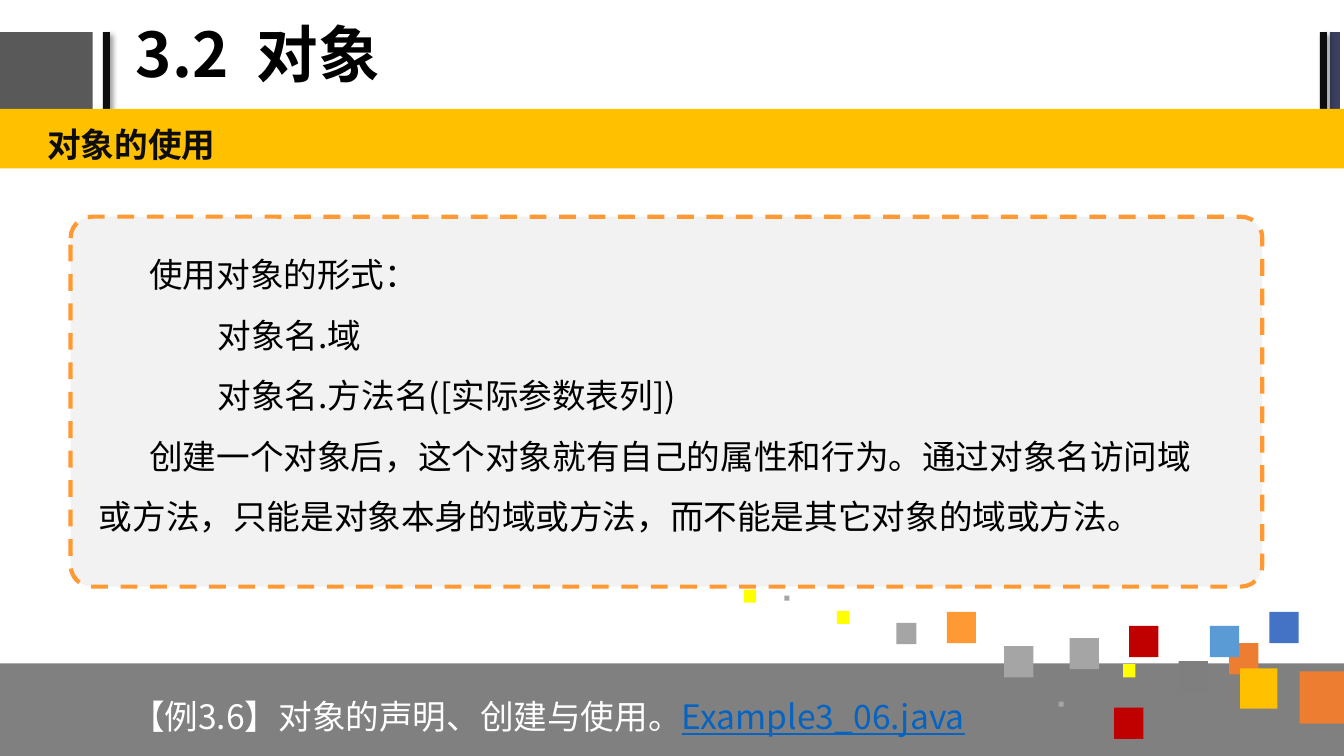
from dataclasses import dataclass
from itertools import chain
from math import cos, pi, sin

from lxml.etree import SubElement
from pptx import Presentation
from pptx.dml.color import RGBColor
from pptx.enum.dml import MSO_LINE
from pptx.enum.shapes import MSO_SHAPE
from pptx.enum.text import MSO_ANCHOR
from pptx.oxml.ns import qn
from pptx.util import Inches, Pt


@dataclass(frozen=True)
class Theme:
    font: str = "Noto Sans CJK SC"
    title: int = 44
    body: int = 24
    black: str = "000000"
    ink: str = "0D0D0D"
    white: str = "FFFFFF"
    slate: str = "595959"
    navy: str = "3B3F60"
    grey: str = "808080"
    mid: str = "7F7F7F"
    silver: str = "A5A5A5"
    panel: str = "F2F2F2"
    amber: str = "FFC000"
    orange: str = "FF9933"
    rust: str = "ED7D31"
    red: str = "C00000"
    sky: str = "5B9BD5"
    blue: str = "4472C4"
    link: str = "0563C1"
    yellow: str = "FFFF00"


T = Theme()
COLS, ROWS = 13.33, 7.5
HEADER_ROW, HEADER_H = 0.32, 0.76
BAND_ROW, BAND_H = 1.08, 0.59
FOOTER_ROW = 6.58
LARGE, SMALL, DOT = (0.29, 0.31), (0.12, 0.13), (0.05, 0.05)

CONFETTI = [
    (12.89, 6.66, (0.44, 0.52), T.rust),
    (12.19, 6.38, LARGE, T.rust),
    (12.3, 6.63, (0.37, 0.4), T.amber),
    (12, 6.21, LARGE, T.sky),
    (10.5, 6.96, DOT, T.silver),
    (12.59, 6.07, LARGE, T.blue),
    (11.14, 6.59, SMALL, T.yellow),
    (10.61, 6.33, LARGE, T.silver),
    (11.2, 6.21, LARGE, T.red),
    (11.69, 6.56, LARGE, T.mid),
    (11.05, 7.02, LARGE, T.red),
    (7.78, 5.91, DOT, T.silver),
    (8.3, 6.06, SMALL, T.yellow),
    (8.89, 6.18, (0.2, 0.21), T.silver),
    (9.39, 6.07, LARGE, T.orange),
    (9.96, 6.41, LARGE, T.silver),
    (7.38, 5.85, SMALL, T.yellow),
]


def cells(*lengths):
    return [Inches(n) for n in lengths]


def paint(sp, color):
    sp.shadow.inherit = False
    sp.fill.solid()
    sp.fill.fore_color.rgb = RGBColor.from_string(color)
    sp.line.fill.background()
    return sp


def block(s, col, row, w, h, color, shape=MSO_SHAPE.RECTANGLE):
    return paint(s.shapes.add_shape(shape, *cells(col, row, w, h)), color)


def drop_shadow(sp):
    effects = sp._element.spPr.find(qn("a:effectLst"))
    shadow = SubElement(effects, qn("a:outerShdw"), blurRad=str(Pt(4)),
                        dist=str(Pt(3)), dir=str(45 * 60000), rotWithShape="0")
    color = SubElement(shadow, qn("a:srgbClr"), val=T.black)
    SubElement(color, qn("a:alpha"), val="40000")


def outline(s, contours, color):
    first, *others = contours
    fb = s.shapes.build_freeform(*first[0], scale=Inches(1))
    fb.add_line_segments(first[1:])
    for points in others:
        fb.move_to(*points[0])
        fb.add_line_segments(points[1:])
    return paint(fb.convert_to_shape(), color)


def text_box(s, col, row, w, h, inset=(0.13, 0.07), anchor=MSO_ANCHOR.TOP):
    tf = s.shapes.add_textbox(*cells(col, row, w, h)).text_frame
    tf.word_wrap = True
    tf.vertical_anchor = anchor
    tf.margin_left = tf.margin_right = Inches(inset[0])
    tf.margin_top = tf.margin_bottom = Inches(inset[1])
    return tf


def style(p, spacing, indent=0):
    p.line_spacing = spacing
    if indent:
        pPr = p._p.get_or_add_pPr()
        pPr.set("marL", "0")
        pPr.set("indent", str(Inches(indent)))
    return p


def add_run(p, text, color, size=T.body, bold=False, underline=False):
    r = p.add_run()
    r.text = text
    r.font.name = T.font
    r.font.size = Pt(size)
    r.font.bold = bold
    r.font.underline = underline
    r.font.color.rgb = RGBColor.from_string(color)
    SubElement(r._r.get_or_add_rPr(), qn("a:ea"), typeface=T.font)


def header(s):
    block(s, 0, HEADER_ROW, 0.92, HEADER_H, T.slate)
    block(s, 13.19, HEADER_ROW, 0.1, HEADER_H, T.navy)
    for col in (1.02, 13.09):
        drop_shadow(block(s, col, HEADER_ROW, 0.07, HEADER_H, T.ink))
    tf = text_box(s, 1.25, 0.02, 8.47, 1.1, (0.1, 0.05), MSO_ANCHOR.MIDDLE)
    add_run(style(tf.paragraphs[0], 0.9), "3.2  对象", T.black, T.title, True)
    block(s, 0, BAND_ROW, COLS, BAND_H, T.amber)
    tf = text_box(s, 0.34, BAND_ROW, COLS - 0.34, BAND_H)
    add_run(style(tf.paragraphs[0], 1.2), "对象的使用", T.ink, bold=True)


def usage_panel(s):
    sp = block(s, 0.7, 2.15, 11.82, 3.67, T.panel, MSO_SHAPE.ROUNDED_RECTANGLE)
    sp.adjustments[0] = 0.058
    sp.line.color.rgb = RGBColor.from_string(T.orange)
    sp.line.width = Pt(3)
    sp.line.dash_style = MSO_LINE.DASH
    tf = text_box(s, 0.85, 2.25, 11.38, 3.5)
    lines = [
        (0.5, "使用对象的形式："),
        (1.18, "对象名.域"),
        (1.18, "对象名.方法名([实际参数表列])"),
        (0.5, "创建一个对象后，这个对象就有自己的属性和行为。通过对象名访问域或方法，"
              "只能是对象本身的域或方法，而不能是其它对象的域或方法。"),
    ]
    for i, (indent, text) in enumerate(lines):
        p = tf.add_paragraph() if i else tf.paragraphs[0]
        add_run(style(p, 1.5, indent), text, T.black)


def rectangle(left, top, right, bottom):
    return [(left, top), (right, top), (right, bottom), (left, bottom), (left, top)]


def hook(left, top, right, bottom, radius, thick):
    def arc(r):
        cx, cy = right - radius, top + radius
        return [(cx + r * sin(a), cy - r * cos(a))
                for a in (pi / 2 * i / 6 for i in range(7))]
    outer, inner = arc(radius), arc(radius - thick)
    points = chain([(left, top)], outer, [(right, bottom), (right - thick, bottom)],
                   reversed(inner), [(left, top + thick), (left, top)])
    return list(points)


def bulb(cx, cy, radius, neck, bottom):
    turns = [pi * (0.67 + 1.66 * i / 24) for i in range(25)]
    points = [(cx + radius * cos(a), cy + radius * sin(a)) for a in turns]
    base = [(cx + neck, bottom - 0.03), (cx + neck / 2, bottom),
            (cx - neck / 2, bottom), (cx - neck, bottom - 0.03)]
    return points + base + points[:1]


def lock_icon(s):
    outline(s, [rectangle(0.83, 6.88, 1.22, 7.27),
                rectangle(0.86, 6.9, 1.2, 7.24)], T.yellow)
    outline(s, [hook(0.97, 6.77, 1.13, 6.88, 0.07, 0.02)], T.yellow)
    outline(s, [hook(1, 6.8, 1.09, 6.88, 0.05, 0.01)], T.yellow)
    outline(s, [bulb(1.04, 7.05, 0.07, 0.04, 7.16),
                bulb(1.04, 7.05, 0.06, 0.03, 7.15)], T.yellow)


def footer(s):
    block(s, 0, FOOTER_ROW, COLS, ROWS - FOOTER_ROW, T.grey)
    lock_icon(s)
    tf = text_box(s, 1.17, 6.75, 10.19, 0.75)
    p = style(tf.paragraphs[0], 1.2)
    add_run(p, "【例3.6】对象的声明、创建与使用。", T.white)
    add_run(p, "Example3_06.java", T.link, underline=True)
    for col, row, size, color in CONFETTI:
        block(s, col, row, *size, color)


def main():
    prs = Presentation()
    prs.slide_width, prs.slide_height = cells(COLS, ROWS)
    s = prs.slides.add_slide(prs.slide_layouts[6])
    header(s)
    usage_panel(s)
    footer(s)
    prs.save("out.pptx")


if __name__ == "__main__":
    main()
